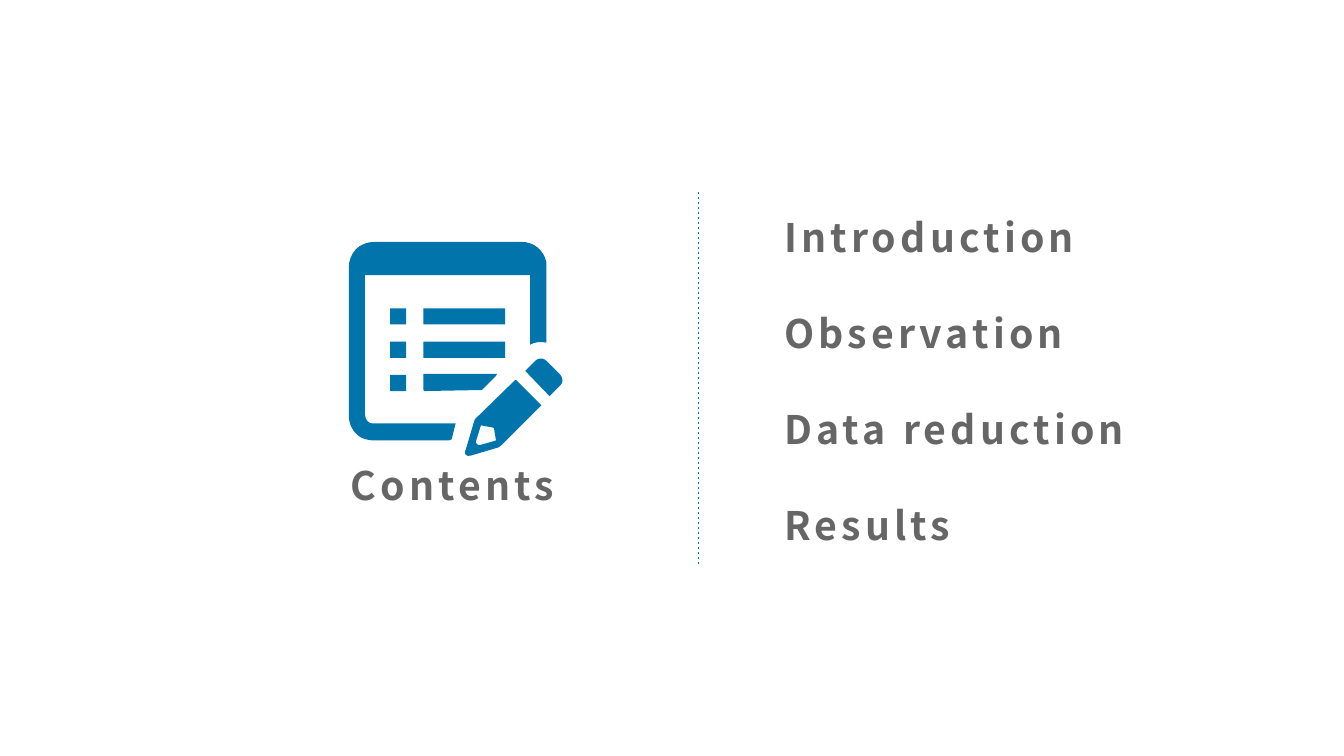
from lxml import etree
from pptx import Presentation
from pptx.dml.color import RGBColor
from pptx.enum.dml import MSO_LINE
from pptx.enum.shapes import MSO_CONNECTOR, MSO_SHAPE
from pptx.enum.text import MSO_ANCHOR, MSO_AUTO_SIZE, PP_ALIGN
from pptx.oxml.ns import qn
from pptx.util import Inches, Pt

STRAIGHT, RECT, DASH = MSO_CONNECTOR.STRAIGHT, MSO_SHAPE.RECTANGLE, MSO_LINE.DASH
TOP, LEFT, GROW = MSO_ANCHOR.TOP, PP_ALIGN.LEFT, MSO_AUTO_SIZE.SHAPE_TO_FIT_TEXT

FONT, BLUE, GREY = "Noto Sans CJK SC", "0174AB", "666666"
TITLE = "Contents"
TOPICS = ["Introduction", "Observation", "Data reduction", "Results"]
TOPIC_LEFT, TOPIC_TOP, TOPIC_STEP = 7.68, 2.07, 0.95
TEXT_W, TEXT_H = 4.38, 0.57
DIVIDER_X, DIVIDER_TOP, DIVIDER_BOTTOM = 6.93, 1.9, 5.6

# Icon: list rows, then outlines in inches.
# A pair is a corner; six numbers are a curve (two controls, end).
ROW_TOP, ROW_STEP, ROW_H = 3.06, 0.33, 0.16
BULLET_LEFT, BAR_LEFT, BAR_W = 3.87, 4.2, 0.81
PAGE = [[
    (4.52, 4.2), (4.48, 4.36), (4.47, 4.36, 4.46, 4.37, 4.45, 4.37), (3.72, 4.37),
    (3.67, 4.37, 3.62, 4.36, 3.58, 4.34), (3.5, 4.29, 3.46, 4.21, 3.46, 4.12),
    (3.46, 2.66), (3.46, 2.51, 3.56, 2.4, 3.72, 2.4), (5.17, 2.4),
    (5.3, 2.4, 5.39, 2.48, 5.42, 2.6), (5.42, 3.4),
    (5.37, 3.39, 5.31, 3.39, 5.26, 3.42), (5.26, 2.73), (3.62, 2.73), (3.62, 4.1),
    (3.62, 4.16, 3.65, 4.21, 3.72, 4.2)]]
PENCIL = [
    [(5.12, 3.77), (5.37, 4.02), (4.98, 4.41),
     (4.97, 4.42, 4.96, 4.43, 4.94, 4.44), (4.67, 4.52),
     (4.65, 4.52, 4.64, 4.53, 4.62, 4.51), (4.61, 4.5, 4.61, 4.48, 4.62, 4.46),
     (4.7, 4.19), (4.71, 4.16), (5.11, 3.77)],
    [(4.77, 4.22), (4.72, 4.38), (4.72, 4.39), (4.74, 4.42, 4.75, 4.42, 4.78, 4.41),
     (4.92, 4.37), (4.9, 4.25), (4.9, 4.25, 4.89, 4.24, 4.88, 4.24)]]
ERASER = [[
    (5.21, 3.68), (5.31, 3.58), (5.34, 3.55, 5.39, 3.55, 5.42, 3.58), (5.55, 3.71),
    (5.58, 3.74, 5.59, 3.79, 5.56, 3.82), (5.45, 3.93)]]
CUT_BAR = [[
    (4.2, 3.71), (4.93, 3.71), (4.92, 3.73), (4.79, 3.86),
    (4.78, 3.87, 4.77, 3.87, 4.76, 3.87), (4.21, 3.88), (4.2, 3.87)]]


def rgb(color):
    """Turn a hex string into a colour."""
    return RGBColor.from_string(color)


def paint(sp, color):
    """Fill a shape flat, without outline or shadow."""
    sp.fill.solid()
    sp.fill.fore_color.rgb = rgb(color)
    sp.line.fill.background()
    sp.shadow.inherit = False


def flatten(outline, steps=8):
    """Return the EMU points of an outline, with its curves sampled."""
    points = []
    for part in outline:
        if len(part) == 2:
            points.append(part)
            continue
        knots = [points[-1], part[:2], part[2:4], part[4:]]
        for i in range(1, steps + 1):
            t = i / steps
            u = 1 - t
            weights = (u**3, 3 * u * u * t, 3 * u * t * t, t**3)
            points.append(tuple(sum(w * k[axis] for w, k in zip(weights, knots))
                                for axis in (0, 1)))
    return [(Inches(x), Inches(y)) for x, y in points]


def add_outline(shapes, outlines, color):
    """Draw closed outlines as one freeform; later outlines cut holes."""
    first, *holes = map(flatten, outlines)
    builder = shapes.build_freeform(*first[0])
    builder.add_line_segments(first[1:], close=True)
    for hole in holes:
        builder.move_to(*hole[0])
        builder.add_line_segments(hole[1:], close=True)
    paint(builder.convert_to_shape(), color)


def add_block(shapes, x, y, w, h, color):
    """Draw a plain rectangle."""
    paint(shapes.add_shape(RECT, *map(Inches, (x, y, w, h))), color)


def write(sp, text, size=28, color=GREY, bold=True, spacing=3):
    """Put one letter-spaced line of text in a shape."""
    tf = sp.text_frame
    tf.word_wrap, tf.auto_size, tf.vertical_anchor = True, GROW, TOP
    p = tf.paragraphs[0]
    p.alignment = LEFT
    r = p.add_run()
    r.text = text
    r.font.name, r.font.size, r.font.bold = FONT, Pt(size), bold
    r.font.color.rgb = rgb(color)
    r.font._element.set("spc", str(spacing * 100))


prs = Presentation()
prs.slide_width, prs.slide_height = Inches(13.33), Inches(7.5)
s = prs.slides.add_slide(prs.slide_layouts[5])

title = s.shapes.title
title.left, title.top, title.width, title.height = map(Inches, (3.38, 4.53, 3.42, TEXT_H))
write(title, TITLE)

divider = s.shapes.add_connector(
    STRAIGHT, *map(Inches, (DIVIDER_X, DIVIDER_TOP, DIVIDER_X, DIVIDER_BOTTOM)))
divider.line.color.rgb = rgb(BLUE)
divider.line.width, divider.line.dash_style = Pt(0.5), DASH
etree.SubElement(divider._element.spPr, qn("a:effectLst"))

icon = s.shapes.add_group_shape().shapes
for outlines in (PAGE, PENCIL, ERASER, CUT_BAR):
    add_outline(icon, outlines, BLUE)
for row in range(3):
    y = ROW_TOP + row * ROW_STEP
    add_block(icon, BULLET_LEFT, y, ROW_H, ROW_H, BLUE)
    if row < 2:
        add_block(icon, BAR_LEFT, y, BAR_W, ROW_H, BLUE)

for i, topic in enumerate(TOPICS):
    box = (TOPIC_LEFT, TOPIC_TOP + i * TOPIC_STEP, TEXT_W, TEXT_H)
    write(s.shapes.add_textbox(*map(Inches, box)), topic)

prs.save("out.pptx")
